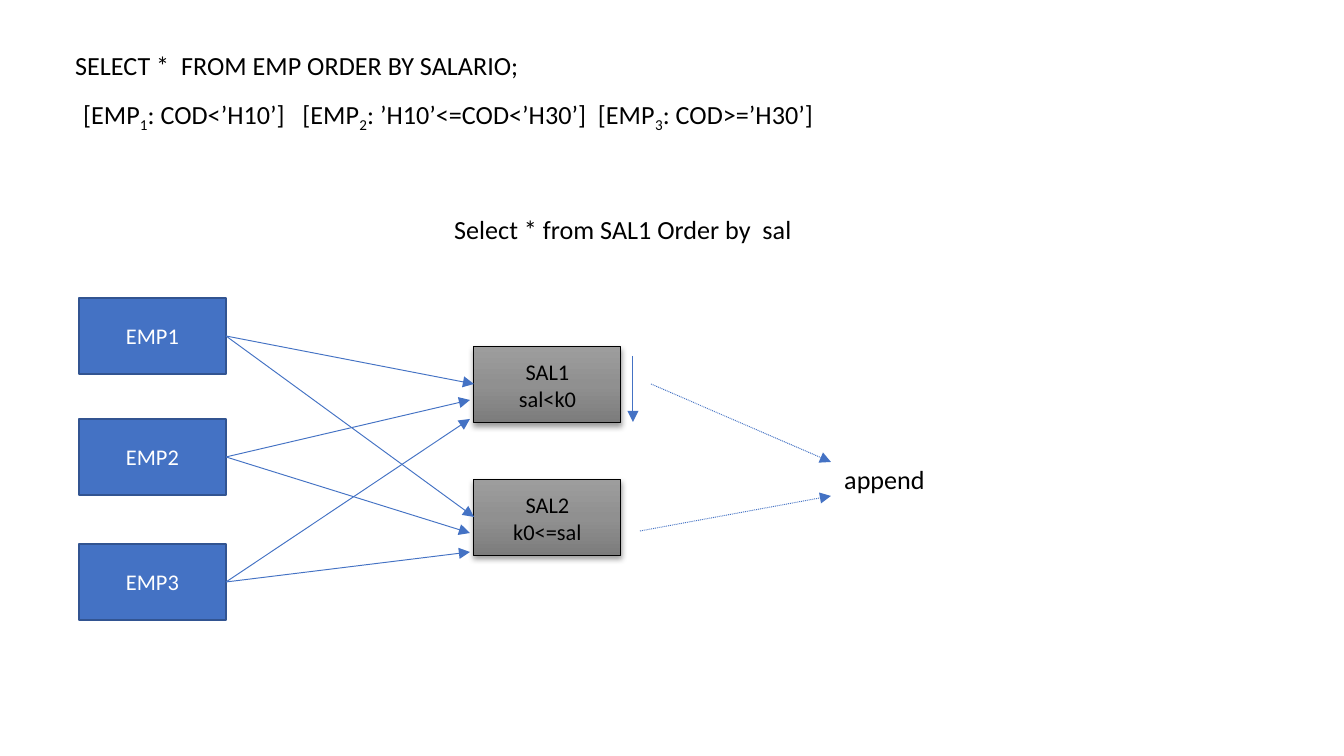
import copy
import pptx
import pptx.util
import pptx.dml.color
import pptx.enum.dml
import pptx.enum.shapes
import pptx.enum.text
import pptx.oxml
import pptx.oxml.ns

Pt = pptx.util.Pt
RGB = pptx.dml.color.RGBColor
TEXT = pptx.enum.text
SHAPE = pptx.enum.shapes
DASH = pptx.enum.dml.MSO_LINE_DASH_STYLE
qn = pptx.oxml.ns.qn
SCALE = 914400 / 134.4

BLACK = RGB(0, 0, 0)
WHITE = RGB(0xFF, 0xFF, 0xFF)
BLUE = RGB(0x44, 0x72, 0xC4)
NAVY = RGB(0x32, 0x54, 0x91)
GREYS = [RGB(0x9D, 0x9D, 0x9D), RGB(0x90, 0x90, 0x90), RGB(0x7C, 0x7C, 0x7C)]

# Content: odd runs of a text are subscripts
TEXTS = [
    ((62, 43, 672, 46), ["SELECT *  FROM EMP ORDER BY SALARIO;"], {}),
    ((36, 89, 868, 46),
     ["[EMP", "1", ": COD<’H10’]   [EMP", "2",
      ": ’H10’<=COD<’H30’]  [EMP", "3", ": COD>=’H30’]"],
     {"line_spacing": 1.07, "space_after": Pt(8)}),
    ((441, 207, 438, 46), ["Select * from SAL1 Order by  sal"], {}),
    ((831, 457, 146, 46), ["append"], {}),
]
INDENT = 34
EMPS = [("EMP1", 298), ("EMP2", 419), ("EMP3", 544)]
SALS = [(["SAL1", "sal<k0"], 347), (["SAL2", "k0<=sal"], 480)]
EMP_X, SAL_X, BOX_W, BOX_H = 79, 474, 147, 76
PORTS = [(0, 37), (-4, 53), (-4, 72)]
SORT = (633, 356, 633, 422)
MERGES = [(651, 384, 831, 462), (640, 531, 831, 496)]

FONT = {"name": "Calibri", "size": Pt(14)}
LABEL = {"name": "Calibri", "size": Pt(12)}
FRAME = {"word_wrap": True, "auto_size": TEXT.MSO_AUTO_SIZE.SHAPE_TO_FIT_TEXT}
NS = 'xmlns:a="http://schemas.openxmlformats.org/drawingml/2006/main"'
SHADOW = (f'<a:effectLst {NS}><a:outerShdw blurRad="39370" dist="20320" '
          'dir="5400000" rotWithShape="0"><a:srgbClr val="000000">'
          '<a:alpha val="38000"/></a:srgbClr></a:outerShdw></a:effectLst>')


def px(*nums):
    return [round(n * SCALE) for n in nums]


def style(obj, vals):
    for key, val in vals.items():
        setattr(obj, key, val)


def add_text(area, runs, form):
    box = slide.shapes.add_textbox(*px(*area))
    style(box.text_frame, FRAME)
    para = box.text_frame.paragraphs[0]
    style(para, form)
    if form:
        para._p.get_or_add_pPr().set("marL", str(px(INDENT)[0]))
    for i, part in enumerate(runs):
        run = para.add_run()
        run.text = part
        style(run.font, FONT)
        run.font.color.rgb = BLACK
        if i % 2:
            run.font._element.set("baseline", "-25000")


def add_box(x, y, lines, ink, edge, width):
    box = slide.shapes.add_shape(SHAPE.MSO_SHAPE.RECTANGLE,
                                 *px(x, y, BOX_W, BOX_H))
    box.shadow.inherit = False
    box.line.color.rgb = edge
    box.line.width = Pt(width)
    frame = box.text_frame
    frame.vertical_anchor = TEXT.MSO_ANCHOR.MIDDLE
    frame.text = "\n".join(lines)
    for para in frame.paragraphs:
        para.alignment = TEXT.PP_ALIGN.CENTER
        style(para.runs[0].font, LABEL)
        para.runs[0].font.color.rgb = ink
    return box


def shade(box):
    box.fill.gradient()
    box.fill.gradient_angle = 270
    first = box.fill.gradient_stops[0]._gs
    first.addnext(copy.deepcopy(first))
    for i, stop in enumerate(box.fill.gradient_stops):
        stop.position = i / 2
        stop.color.rgb = GREYS[i]
    props = box._element.spPr
    props.remove(props.find(qn("a:effectLst")))
    props.append(pptx.oxml.parse_xml(SHADOW))


def add_arrow(ends, dash=None):
    arrow = slide.shapes.add_connector(SHAPE.MSO_CONNECTOR.STRAIGHT, *px(*ends))
    arrow.line.color.rgb = BLUE
    style(arrow.line, {"width": Pt(0.5), "dash_style": dash})
    line = arrow.line._get_or_add_ln()
    line.append(pptx.oxml.parse_xml(f'<a:tailEnd {NS} type="triangle"/>'))
    arrow._element.spPr.append(pptx.oxml.parse_xml(f"<a:effectLst {NS}/>"))


deck = pptx.Presentation()
deck.slide_width, deck.slide_height = px(1344, 756)
slide = deck.slides.add_slide(deck.slide_layouts[6])

# Sorted ranges and source fragments
for lines, y in SALS:
    shade(add_box(SAL_X, y, lines, BLACK, BLACK, 0.5))
for name, y in EMPS:
    box = add_box(EMP_X, y, [name], WHITE, NAVY, 1)
    box.fill.solid()
    box.fill.fore_color.rgb = BLUE

# Queries and labels
for area, runs, form in TEXTS:
    add_text(area, runs, form)

# Every fragment feeds every range
for (name, top), (dx, dy) in zip(EMPS, PORTS):
    for lines, y in SALS:
        add_arrow((EMP_X + BOX_W, top + BOX_H // 2, SAL_X + dx, y + dy))

# Sort, then append
add_arrow(SORT)
for ends in MERGES:
    add_arrow(ends, DASH.ROUND_DOT)

deck.save("out.pptx")
